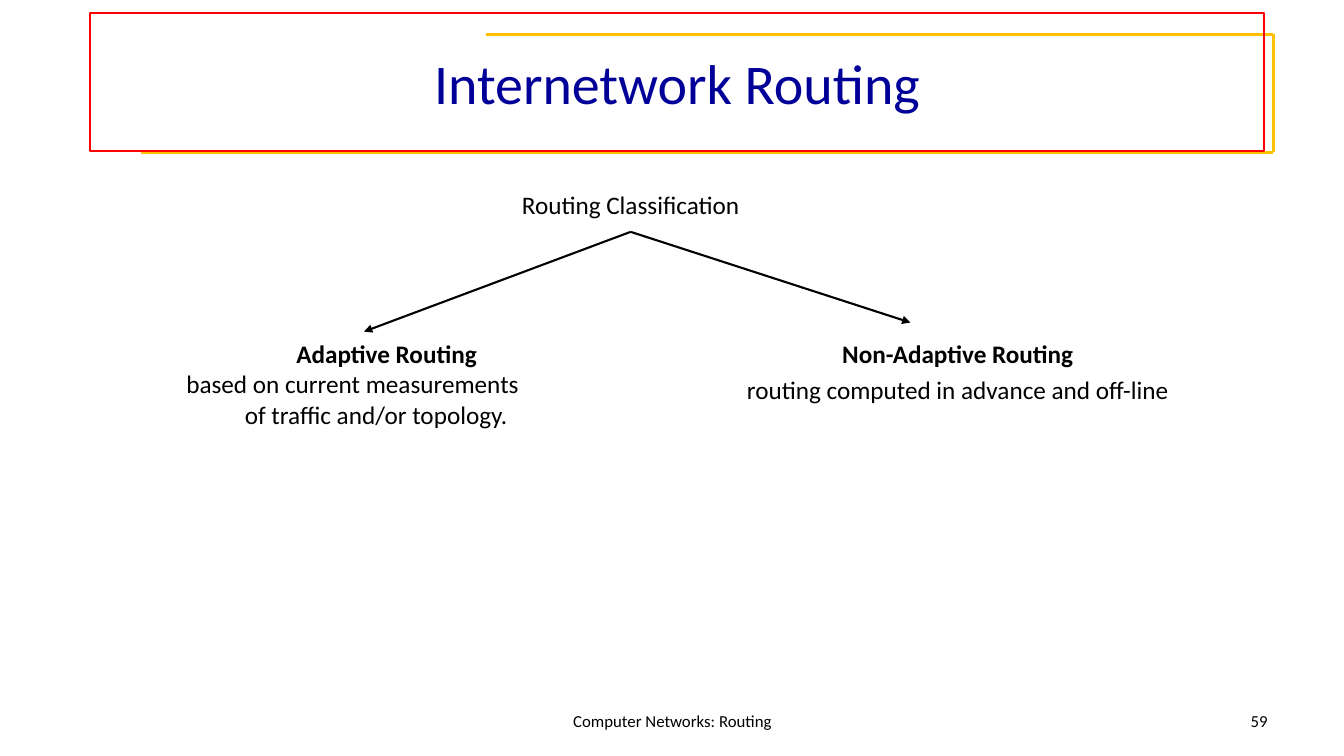
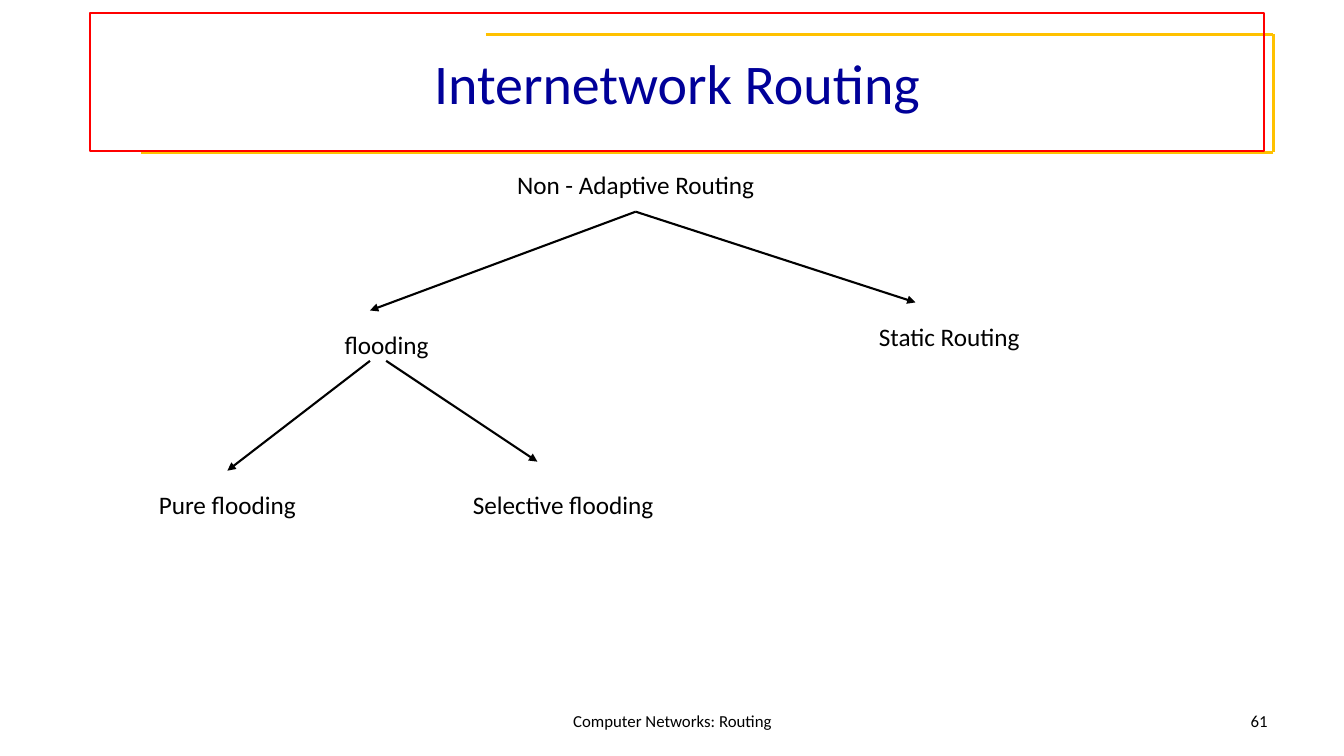
"""Build two slides that classify internetwork routing methods."""
from dataclasses import dataclass
from typing import Optional

from lxml.etree import SubElement
from pptx import Presentation
from pptx.dml.color import RGBColor
from pptx.enum.shapes import MSO_CONNECTOR, MSO_SHAPE
from pptx.enum.text import MSO_ANCHOR as Anchor, PP_ALIGN as Align
from pptx.oxml.ns import qn
from pptx.util import Inches, Pt

BLACK = RGBColor(0x00, 0x00, 0x00)
WHITE = RGBColor(0xFF, 0xFF, 0xFF)
RED = RGBColor(0xFF, 0x00, 0x00)
GOLD = RGBColor(0xFF, 0xC1, 0x00)
NAVY = RGBColor(0x00, 0x00, 0x99)
FONT = "Calibri"
TITLE = "Internetwork Routing"
FOOTER = "Computer Networks: Routing"
FRAME_CORNERS = ((4.82, 0.34), (12.63, 0.34), (12.63, 1.51), (1.4, 1.51))
NODE_WIDTH = 3.67


@dataclass(frozen=True)
class Line:
    text: str
    size: float = 18
    color: RGBColor = BLACK
    bold: bool = False
    align: Align = Align.CENTER
    margin: float = 0
    space_before: float = 0


@dataclass(frozen=True)
class Node:
    left: float
    top: float
    height: float
    lines: tuple[Line, ...]
    width: float = NODE_WIDTH
    anchor: Anchor = Anchor.MIDDLE


@dataclass(frozen=True)
class Arrow:
    start: tuple[float, float]
    end: tuple[float, float]
    source: Optional[Node] = None
    target: Optional[Node] = None


@dataclass(frozen=True)
class Tree:
    number: str
    nodes: tuple[Node, ...]
    arrows: tuple[Arrow, ...]


def write_lines(shape, lines: tuple[Line, ...], anchor: Anchor) -> None:
    """Fill a shape with one paragraph for each line."""
    frame = shape.text_frame
    frame.word_wrap = True
    frame.vertical_anchor = anchor
    for index, line in enumerate(lines):
        paragraph = frame.add_paragraph() if index else frame.paragraphs[0]
        paragraph.alignment = line.align
        if line.margin:
            paragraph._p.get_or_add_pPr().set("marL", str(Inches(line.margin)))
        if line.space_before:
            paragraph.space_before = Pt(line.space_before)
        run = paragraph.add_run()
        run.text = line.text
        run.font.name = FONT
        run.font.size = Pt(line.size)
        run.font.bold = line.bold
        run.font.color.rgb = line.color


def add_box(slide, node: Node, border: RGBColor, border_width: float,
            fill: Optional[RGBColor] = None):
    """Draw a bordered rectangle holding the text of a node."""
    shape = slide.shapes.add_shape(
        MSO_SHAPE.RECTANGLE, Inches(node.left), Inches(node.top),
        Inches(node.width), Inches(node.height))
    shape.shadow.inherit = False
    if fill is None:
        shape.fill.background()
    else:
        shape.fill.solid()
        shape.fill.fore_color.rgb = fill
    shape.line.color.rgb = border
    shape.line.width = Pt(border_width)
    write_lines(shape, node.lines, node.anchor)
    return shape


def add_line(slide, start: tuple[float, float], end: tuple[float, float],
             color: RGBColor, width: float):
    """Draw a straight line without a shadow."""
    connector = slide.shapes.add_connector(
        MSO_CONNECTOR.STRAIGHT, *map(Inches, start + end))
    connector.line.color.rgb = color
    connector.line.width = Pt(width)
    SubElement(connector._element.spPr, qn("a:effectLst"))
    return connector


def add_arrow(slide, arrow: Arrow, shapes: dict) -> None:
    """Draw an arrow and join it to the nodes it touches."""
    connector = add_line(slide, arrow.start, arrow.end, BLACK, 1.5)
    SubElement(connector.line._get_or_add_ln(), qn("a:tailEnd"), type="triangle")
    if arrow.source:
        connector.begin_connect(shapes[arrow.source], 2)
    if arrow.target:
        connector.end_connect(shapes[arrow.target], 0)


def add_footer(slide, left: float, width: float, line: Line) -> None:
    """Write one line of text in the footer row."""
    box = slide.shapes.add_textbox(
        Inches(left), Inches(6.95), Inches(width), Inches(0.4))
    write_lines(box, (line,), Anchor.MIDDLE)


def add_slide(presentation, tree: Tree) -> None:
    """Add a slide with the shared title and footer and one tree."""
    slide = presentation.slides.add_slide(presentation.slide_layouts[6])
    for start, end in zip(FRAME_CORNERS, FRAME_CORNERS[1:]):
        add_line(slide, start, end, GOLD, 2)
    add_footer(slide, 4.56, 4.22, Line(FOOTER, 12))
    add_footer(slide, 9.56, 3.11, Line(tree.number, 12, align=Align.RIGHT))
    title = Node(0.89, 0.13, 1.37, (Line(TITLE, 40, NAVY),), 11.65)
    add_box(slide, title, RED, 1.5)
    shapes = {node: add_box(slide, node, WHITE, 0.75, WHITE) for node in tree.nodes}
    for arrow in tree.arrows:
        add_arrow(slide, arrow, shapes)


def classification_tree() -> Tree:
    """Describe the split into adaptive and non-adaptive routing."""
    root = Node(4.42, 1.75, 0.55, (Line("Routing Classification"),))
    adaptive = Node(1.75, 3.31, 1.6, (
        Line("Adaptive Routing", bold=True),
        Line("based on current measurements", align=Align.LEFT),
        Line("of traffic and/or topology.", align=Align.LEFT, margin=0.58),
    ), 4.17, Anchor.TOP)
    non_adaptive = Node(7.25, 3.31, 1.44, (
        Line("Non-Adaptive Routing", bold=True),
        Line("routing computed in advance and off-line", space_before=3.6),
    ), 4.5, Anchor.TOP)
    return Tree("59", (root, adaptive, non_adaptive), (
        Arrow((6.25, 2.3), (3.61, 3.29), root),
        Arrow((6.25, 2.3), (9.03, 3.2), root),
    ))


def non_adaptive_tree() -> Tree:
    """Describe the kinds of non-adaptive routing."""
    root = Node(4.47, 1.55, 0.55, (Line("Non - Adaptive Routing"),))
    flooding = Node(2, 3.08, 0.67, (Line("flooding"),))
    static = Node(7.58, 3.08, 0.51, (Line("Static Routing"),))
    pure = Node(0.42, 4.67, 0.67, (Line("Pure flooding"),))
    selective = Node(3.75, 4.67, 0.67, (Line("Selective flooding"),))
    return Tree("61", (root, flooding, static, pure, selective), (
        Arrow((6.3, 2.1), (3.67, 3.08), root),
        Arrow((6.3, 2.1), (9.08, 3), root),
        Arrow((3.67, 3.58), (2.25, 4.67), target=pure),
        Arrow((3.83, 3.58), (5.33, 4.58)),
    ))


def main() -> None:
    """Build and save the presentation."""
    presentation = Presentation()
    presentation.slide_width = Inches(13.33)
    presentation.slide_height = Inches(7.5)
    for tree in (classification_tree(), non_adaptive_tree()):
        add_slide(presentation, tree)
    presentation.save("out.pptx")


if __name__ == "__main__":
    main()
